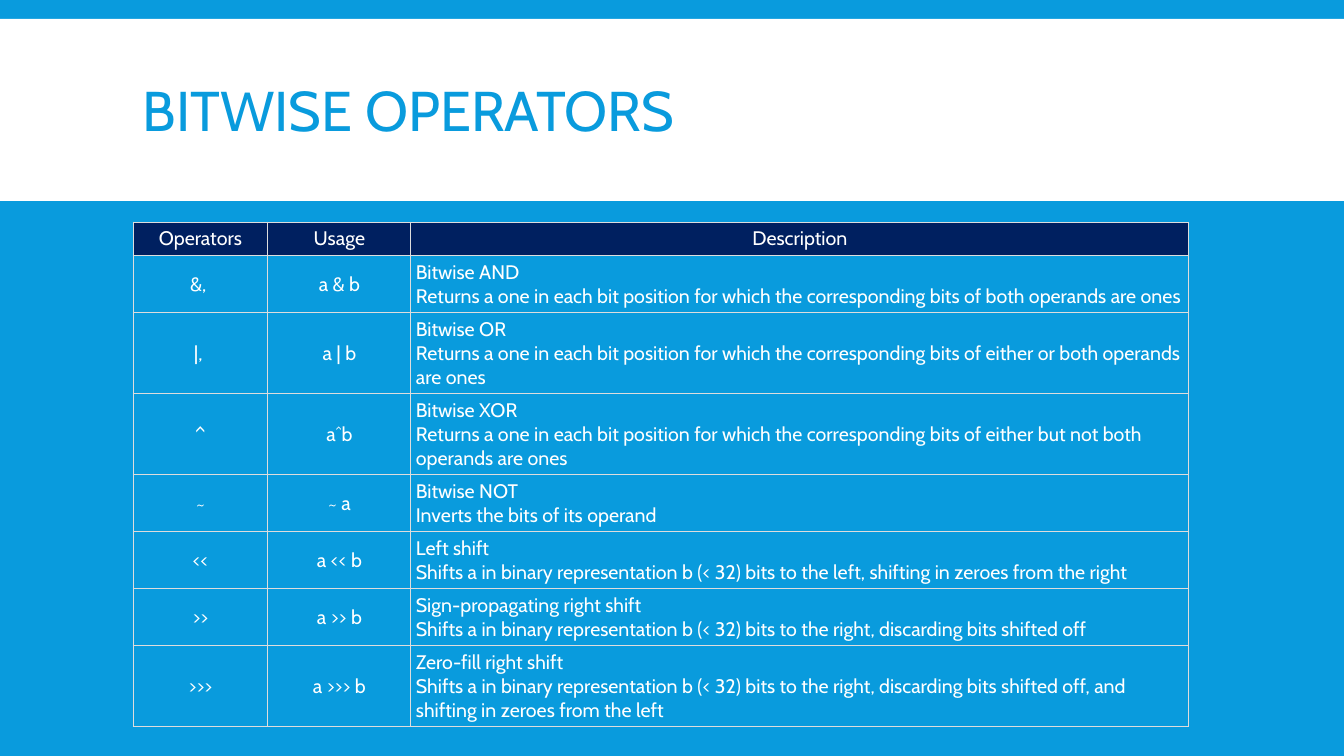
from dataclasses import dataclass
from typing import Any

from lxml.etree import SubElement
from pptx import Presentation
from pptx.dml.color import RGBColor
from pptx.enum.shapes import MSO_SHAPE
from pptx.enum.text import MSO_ANCHOR, PP_ALIGN
from pptx.oxml.ns import qn
from pptx.util import Emu, Pt

SCALE = 914400 / 100.8
BLUE, NAVY, WHITE, GRAY = "099BDD", "002060", "FFFFFF", "DDDDDD"
FONT = "Cabin"
HEADS = ("Operators", "Usage", "Description")
COLS = (135, 143, 778)
LINE, PAD, INSET = 24, 9, 5


@dataclass(frozen=True)
class Op:
    """One operator, with the text lines its row must hold."""

    sign: str
    usage: str
    name: str
    note: str
    lines: int = 2


EACH = "Returns a one in each bit position for which the corresponding bits of "
SHIFT = "Shifts a in binary representation b (< 32) bits to the "
OPS = (
    Op("&, ", "a & b", "Bitwise AND", EACH + "both operands are ones"),
    Op("|, ", "a | b", "Bitwise OR", EACH + "either or both operands are ones", 3),
    Op("^", "a^b", "Bitwise XOR", EACH + "either but not both operands are ones", 3),
    Op("~", "~ a", "Bitwise NOT", "Inverts the bits of its operand"),
    Op("<<", "a << b", "Left shift",
       SHIFT + "left, shifting in zeroes from the right"),
    Op(">>", "a >> b", "Sign-propagating right shift",
       SHIFT + "right, discarding bits shifted off"),
    Op(">>>", "a >>> b", "Zero-fill right shift",
       SHIFT + "right, discarding bits shifted off, and "
       "shifting in zeroes from the left", 3),
)


def px(count: float) -> Emu:
    """Turn pixels into EMU."""
    return Emu(round(count * SCALE))


def color(code: str) -> RGBColor:
    """Turn a hex string into a colour."""
    return RGBColor.from_string(code)


def apply(target: Any, values: dict[str, Any]) -> None:
    """Set each named value on the target."""
    for name, value in values.items():
        setattr(target, name, value)


def add_run(para: Any, text: str, size: int, tone: str) -> Any:
    """Add a styled run to a paragraph."""
    run = para.add_run()
    run.text = text
    apply(run.font, {"name": FONT, "size": Pt(size), "bold": False})
    run.font.color.rgb = color(tone)
    return run


def add_edges(cell: Any) -> None:
    """Draw a thin line on all four sides of a cell."""
    props = cell._tc.get_or_add_tcPr()
    for spot, side in enumerate(("lnL", "lnR", "lnT", "lnB")):
        line = SubElement(props, qn(f"a:{side}"), w=str(Pt(0.75)))
        fill = SubElement(line, qn("a:solidFill"))
        SubElement(fill, qn("a:srgbClr"), val=GRAY)
        props.insert(spot, line)


def fill_cell(cell: Any, texts: tuple[str, ...], align: Any, anchor: Any,
              back: str | None = None) -> None:
    """Write one paragraph per text and style the cell."""
    sides = ("left", "right", "top", "bottom")
    apply(cell, {f"margin_{side}": px(INSET) for side in sides})
    cell.vertical_anchor = anchor
    if back:
        cell.fill.solid()
        cell.fill.fore_color.rgb = color(back)
    else:
        cell.fill.background()
    add_edges(cell)
    frame = cell.text_frame
    for spot, text in enumerate(texts):
        para = frame.add_paragraph() if spot else frame.paragraphs[0]
        para.alignment = align
        parts = ("a", "^", "b") if text == "a^b" else (text,)
        for part in parts:
            run = add_run(para, part, 14, WHITE)
            if part == "^" and len(parts) > 1:
                run._r.get_or_add_rPr().set("baseline", "30000")


def add_band(slide: Any) -> None:
    """Add the white band behind the title."""
    band = slide.shapes.add_shape(
        MSO_SHAPE.RECTANGLE, px(0), px(19), px(1344), px(182))
    band.shadow.inherit = False
    band.fill.solid()
    band.fill.fore_color.rgb = color(WHITE)
    band.line.fill.background()


def add_title(slide: Any) -> None:
    """Add the slide title."""
    box = slide.shapes.add_textbox(px(133), px(31), px(1079), px(166))
    frame = box.text_frame
    apply(frame, {"word_wrap": True, "vertical_anchor": MSO_ANCHOR.MIDDLE})
    para = frame.paragraphs[0]
    para.line_spacing = 0.85
    add_run(para, "BITWISE OPERATORS", 40, BLUE)


def add_grid(slide: Any) -> None:
    """Add the table of operators."""
    counts = (1, *(op.lines for op in OPS))
    highs = [LINE * count + PAD for count in counts]
    table = slide.shapes.add_table(
        len(highs), len(COLS), px(133), px(222), px(sum(COLS)), px(sum(highs))
    ).table
    apply(table, {"first_row": False, "horz_banding": False})
    for col, wide in zip(table.columns, COLS):
        col.width = px(wide)
    for row, high in zip(table.rows, highs):
        row.height = px(high)
    for col, head in enumerate(HEADS):
        fill_cell(table.cell(0, col), (head,), PP_ALIGN.CENTER,
                  MSO_ANCHOR.TOP, NAVY)
    for row, op in enumerate(OPS, 1):
        for col, text in enumerate((op.sign, op.usage)):
            fill_cell(table.cell(row, col), (text,), PP_ALIGN.CENTER,
                      MSO_ANCHOR.MIDDLE)
        fill_cell(table.cell(row, 2), (op.name, op.note), PP_ALIGN.LEFT,
                  MSO_ANCHOR.TOP)


def main() -> None:
    """Build and save the slide."""
    deck = Presentation()
    apply(deck, {"slide_width": px(1344), "slide_height": px(756)})
    slide = deck.slides.add_slide(deck.slide_layouts[6])
    back = slide.background.fill
    back.solid()
    back.fore_color.rgb = color(BLUE)
    add_band(slide)
    add_title(slide)
    add_grid(slide)
    deck.save("out.pptx")


main()
